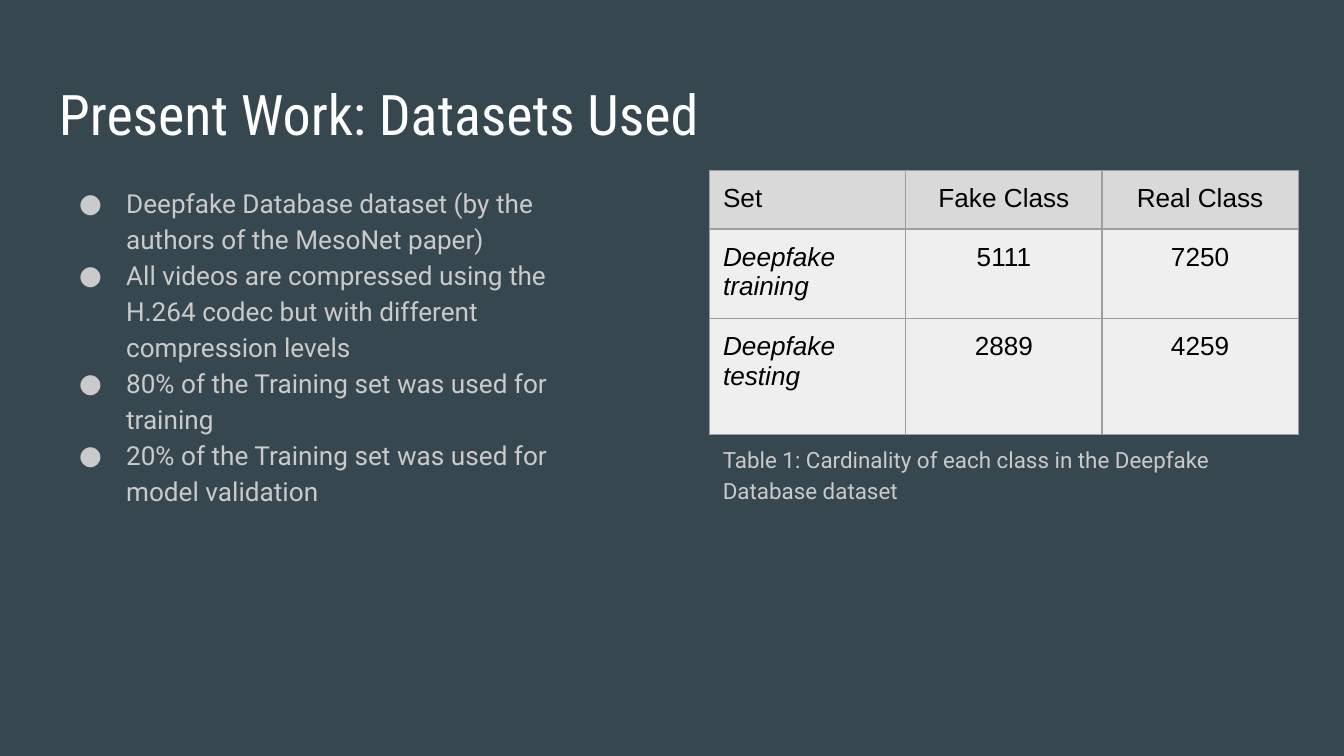
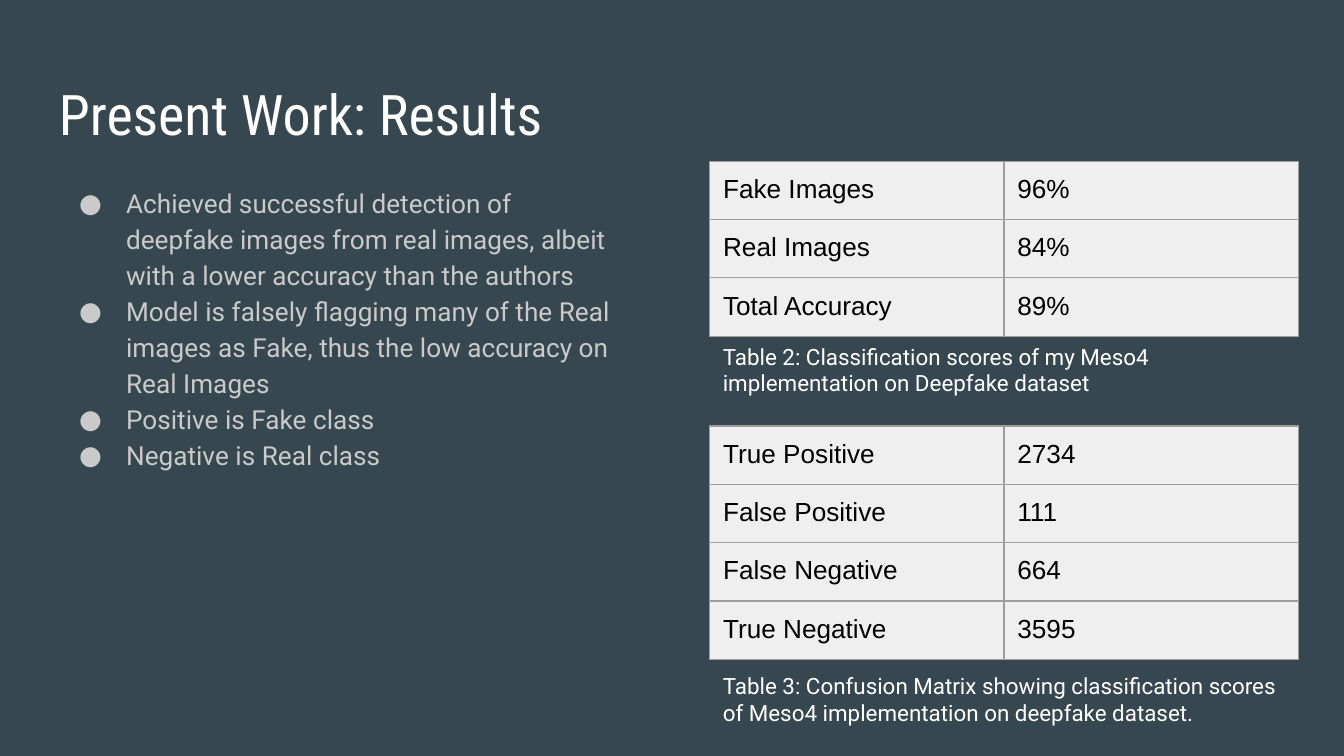
from lxml import etree
from pptx import Presentation, util as u
from pptx.dml.color import RGBColor
from pptx.enum import text
from pptx.oxml.ns import qn

# Style
SLATE = RGBColor(0x37, 0x47, 0x4F)
WHITE = RGBColor(0xFF, 0xFF, 0xFF)
BLACK = RGBColor(0x00, 0x00, 0x00)
SILVER = RGBColor(0xCA, 0xCA, 0xCA)
HEAD = RGBColor(0xD9, 0xD9, 0xD9)
CELL = RGBColor(0xEF, 0xEF, 0xEF)
RULE = RGBColor(0x9E, 0x9E, 0x9E)

PX = 9144  # 100 px to the inch
PAD = 10
LEFT, RIGHT, WIDE = 34, 528, 437
CENTER = text.PP_ALIGN.CENTER


def px(n):
    return u.Emu(n * PX)


def write(par, words, font="Roboto", size=14, color=SILVER,
          italic=False, align=text.PP_ALIGN.LEFT, line=None):
    run = par.add_run()
    run.text = words
    run.font.name = font
    run.font.size = u.Pt(size)
    run.font.color.rgb = color
    run.font.italic = italic
    par.alignment = align
    if line:
        par.line_spacing = line
    etree.SubElement(par._p, qn("a:endParaRPr"), sz=str(size * 100))


def dot(par):
    """Give a paragraph a round bullet with a hanging indent."""
    props = par._p.get_or_add_pPr()
    props.set("marL", str(px(50)))
    props.set("indent", str(px(-35)))
    tint = etree.SubElement(props, qn("a:buClr"))
    etree.SubElement(tint, qn("a:srgbClr"), val=str(SILVER))
    etree.SubElement(props, qn("a:buSzPts"), val="1400")
    etree.SubElement(props, qn("a:buFont"), typeface="Roboto")
    etree.SubElement(props, qn("a:buChar"), char="●")


def frame(cell):
    """Draw a thin rule on all four sides of a cell."""
    props = cell._tc.get_or_add_tcPr()
    for side in ("a:lnL", "a:lnR", "a:lnT", "a:lnB"):
        rule = etree.SubElement(props, qn(side), w=str(u.Pt(0.75)))
        fill = etree.SubElement(rule, qn("a:solidFill"))
        etree.SubElement(fill, qn("a:srgbClr"), val=str(RULE))


class Deck:
    def __init__(self):
        self.prs = Presentation()
        self.prs.slide_width = px(1000)
        self.prs.slide_height = u.Emu(px(1000) * 9 // 16)
        self.slide = None

    def page(self, title):
        self.slide = self.prs.slides.add_slide(self.prs.slide_layouts[6])
        fill = self.slide.background.fill
        fill.solid()
        fill.fore_color.rgb = SLATE
        box = self.box(LEFT, 49, 932, 63)
        write(box.paragraphs[0], title, font="Roboto Condensed", size=30, color=WHITE)

    def box(self, x, y, w, h):
        box = self.slide.shapes.add_textbox(px(x), px(y), px(w), px(h)).text_frame
        box.word_wrap = True
        box.margin_left = box.margin_right = px(PAD)
        box.margin_top = box.margin_bottom = px(PAD)
        return box

    def points(self, items):
        box = self.box(LEFT, 126, WIDE, 374)
        for i, item in enumerate(items):
            par = box.add_paragraph() if i else box.paragraphs[0]
            write(par, item, line=1.15)
            dot(par)

    def note(self, y, words, **style):
        write(self.box(RIGHT, y, WIDE, 62).paragraphs[0], words, size=12, **style)

    def table(self, y, rows, tall, wide, head=False):
        """Lay out rows; a table with a head centres its figures."""
        cols = len(rows[0])
        grid = self.slide.shapes.add_table(
            len(rows), cols, px(RIGHT), px(y), px(wide * cols), px(sum(tall))).table
        grid.first_row = grid.horz_banding = False
        for col in grid.columns:
            col.width = px(wide)
        for r, (row, high) in enumerate(zip(rows, tall)):
            grid.rows[r].height = px(high)
            for c, words in enumerate(row):
                cell = grid.cell(r, c)
                cell.margin_left = cell.margin_right = px(PAD)
                cell.margin_top = cell.margin_bottom = px(PAD)
                frame(cell)
                cell.fill.solid()
                cell.fill.fore_color.rgb = HEAD if head and r == 0 else CELL
                write(cell.text_frame.paragraphs[0], words, font="Arial", color=BLACK,
                      italic=head and r > 0 and c == 0,
                      align=CENTER if head and c else text.PP_ALIGN.LEFT)


def main():
    deck = Deck()

    # Datasets
    deck.page("Present Work: Datasets Used")
    deck.points([
        "Deepfake Database dataset (by the authors of the MesoNet paper)",
        "All videos are compressed using the H.264 codec but with different compression levels",
        "80% of the Training set was used for training",
        "20% of the Training set was used for model validation",
    ])
    deck.note(319, "Table 1: Cardinality of each class in the Deepfake Database dataset",
              line=1.15)
    deck.table(127, [
        ("Set", "Fake Class", "Real Class"),
        ("Deepfake training", "5111", "7250"),
        ("Deepfake testing", "2889", "4259"),
    ], tall=(42, 64, 86), wide=146, head=True)

    # Results
    deck.page("Present Work: Results")
    deck.points([
        "Achieved successful detection of deepfake images from real images, "
        "albeit with a lower accuracy than the authors",
        "Model is falsely flagging many of the Real images as Fake, "
        "thus the low accuracy on Real Images",
        "Positive is Fake class",
        "Negative is Real class",
    ])
    deck.table(120, [
        ("Fake Images", "96%"),
        ("Real Images", "84%"),
        ("Total Accuracy", "89%"),
    ], tall=(43, 43, 43), wide=219)
    deck.table(317, [
        ("True Positive", "2734"),
        ("False Positive", "111"),
        ("False Negative", "664"),
        ("True Negative", "3595"),
    ], tall=(43, 43, 42, 42), wide=219)
    deck.note(245, "Table 2: Classification scores of my Meso4 implementation "
              "on Deepfake dataset", color=WHITE)
    deck.note(490, "Table 3: Confusion Matrix showing classification scores "
              "of Meso4 implementation on deepfake dataset.", color=WHITE)

    deck.prs.save("out.pptx")


if __name__ == "__main__":
    main()
